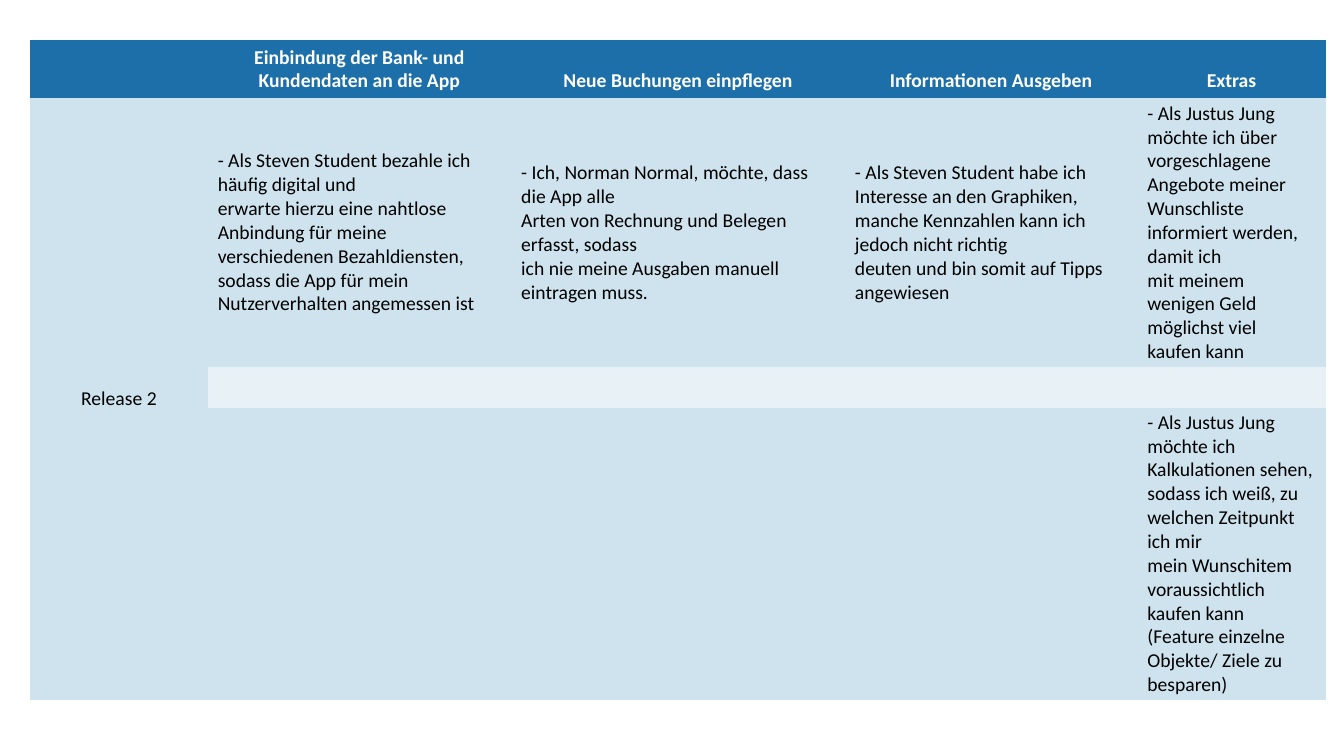
import pptx
import pptx.util
import pptx.dml.color
import pptx.enum.text
from pptx.oxml.ns import qn

Inches = pptx.util.Inches
Align = pptx.enum.text.PP_ALIGN
Anchor = pptx.enum.text.MSO_ANCHOR

theme = {
    "font": "Calibri",
    "size": pptx.util.Pt(14),
    "head": "1D6FA9",
    "dark": "CEE3ED",
    "light": "E8F2F6",
    "white": "FFFFFF",
    "black": "000000",
}


def color(name):
    return pptx.dml.color.RGBColor.from_string(theme[name])


# Slide
deck = pptx.Presentation()
deck.slide_width, deck.slide_height = Inches(13.33), Inches(7.5)
slide = deck.slides.add_slide(deck.slide_layouts[6])

# Wording, row by row
rows = [
    ["", "Einbindung der Bank- und Kundendaten an die App",
     "Neue Buchungen einpflegen", "Informationen Ausgeben", "Extras"],
    ["Release 2",
     "- Als Steven Student bezahle ich häufig digital und\n"
     "erwarte hierzu eine nahtlose Anbindung für meine\n"
     "verschiedenen Bezahldiensten, sodass die App für mein\n"
     "Nutzerverhalten angemessen ist",
     "- Ich, Norman Normal, möchte, dass die App alle\n"
     "Arten von Rechnung und Belegen erfasst, sodass\n"
     "ich nie meine Ausgaben manuell eintragen muss.",
     "- Als Steven Student habe ich Interesse an den Graphiken,\n"
     "manche Kennzahlen kann ich jedoch nicht richtig\n"
     "deuten und bin somit auf Tipps angewiesen",
     "- Als Justus Jung möchte ich über\n"
     "vorgeschlagene Angebote meiner\n"
     "Wunschliste informiert werden, damit ich\n"
     "mit meinem wenigen Geld möglichst viel\n"
     "kaufen kann"],
    [""] * 5,
    ["", "", "", "",
     "- Als Justus Jung möchte ich Kalkulationen sehen,\n"
     "sodass ich weiß, zu welchen Zeitpunkt ich mir\n"
     "mein Wunschitem voraussichtlich kaufen kann\n"
     "(Feature einzelne Objekte/ Ziele zu besparen)"],
]
fills = ["head", "dark", "light", "dark"]
widths = [1.76, 3.01, 3.31, 2.9, 1.87]
heights = [0.57, 2.67, 0.4, 2.9]

# Table without style lines
frame = slide.shapes.add_table(
    len(rows), len(widths), Inches(0.3), Inches(0.4),
    Inches(sum(widths)), Inches(sum(heights)))
table = frame.table
table.first_row = True
table.horz_banding = False
style = table._tbl.tblPr.find(qn("a:tableStyleId"))
style.text = "{2D5ABB26-0587-4C30-8999-92F81FD0307C}"
for col, width in zip(table.columns, widths):
    col.width = Inches(width)
for row, height in zip(table.rows, heights):
    row.height = Inches(height)

# Cells
for r, texts in enumerate(rows):
    head = r == 0
    pad = Inches(0.05 if head else 0.03)
    box = {
        "vertical_anchor": Anchor.BOTTOM if head else Anchor.MIDDLE,
        "margin_left": Inches(0.1),
        "margin_right": Inches(0.1),
        "margin_top": pad,
        "margin_bottom": pad,
    }
    type_set = {"name": theme["font"], "size": theme["size"], "bold": head}
    for c, text in enumerate(texts):
        cell = table.cell(r, c)
        cell.fill.solid()
        cell.fill.fore_color.rgb = color("dark" if c == 0 and r else fills[r])
        for key, value in box.items():
            setattr(cell, key, value)
        if not text:
            continue
        para = cell.text_frame.paragraphs[0]
        para.text = text
        para.alignment = Align.CENTER if head or c == 0 else Align.LEFT
        for run in para.runs:
            for key, value in type_set.items():
                setattr(run.font, key, value)
            run.font.color.rgb = color("white" if head else "black")

# Release label spans all story rows
table.cell(1, 0).merge(table.cell(3, 0))

deck.save("out.pptx")
